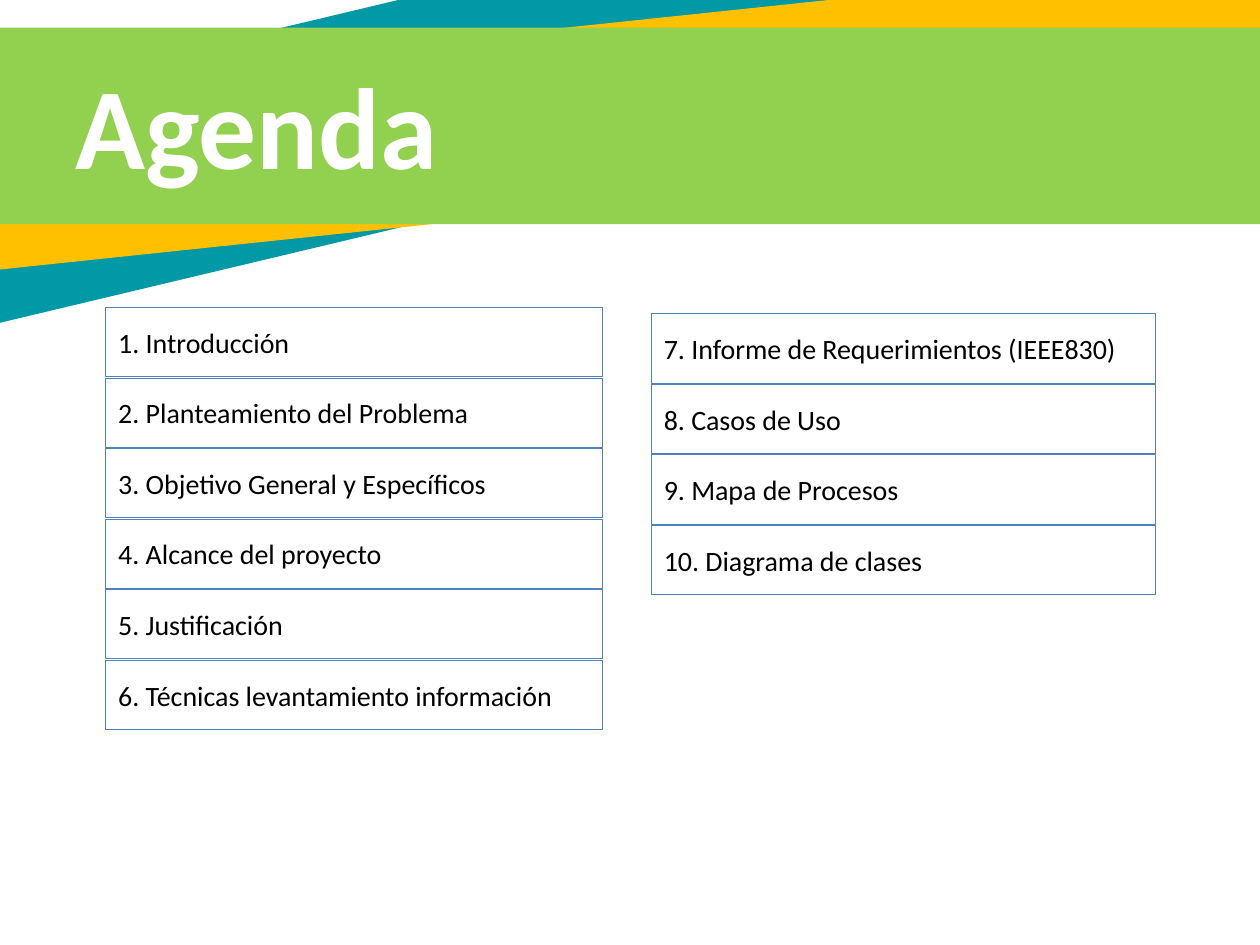
from dataclasses import dataclass

from pptx import Presentation
from pptx.dml.color import RGBColor
from pptx.enum.shapes import MSO_SHAPE
from pptx.enum.text import MSO_ANCHOR, PP_ALIGN
from pptx.util import Inches, Pt


@dataclass(frozen=True)
class Theme:
    font: str = "Calibri"
    teal: str = "0099A5"
    amber: str = "FFC000"
    green: str = "92D050"
    outline: str = "4F81BD"
    title_color: str = "FFFFFF"
    body_color: str = "000000"
    title_size: int = 66
    body_size: int = 16
    outline_width: float = 0.5


class AgendaSlide:
    def __init__(self, presentation, theme):
        self.theme = theme
        self.slide = presentation.slides.add_slide(presentation.slide_layouts[6])

    def rectangle(self, left, top, width, height):
        shape = self.slide.shapes.add_shape(
            MSO_SHAPE.RECTANGLE, Inches(left), Inches(top), Inches(width), Inches(height)
        )
        shape.shadow.inherit = False
        return shape

    def band(self, left, top, width, height, color, rotation=0):
        shape = self.rectangle(left, top, width, height)
        shape.rotation = rotation
        shape.fill.solid()
        shape.fill.fore_color.rgb = RGBColor.from_string(color)
        shape.line.fill.background()

    def set_text(self, shape, text, size, color, bold=False, wrap=True):
        frame = shape.text_frame
        frame.word_wrap = wrap
        frame.vertical_anchor = MSO_ANCHOR.MIDDLE
        paragraph = frame.paragraphs[0]
        paragraph.text = text
        paragraph.alignment = PP_ALIGN.LEFT
        paragraph.font.name = self.theme.font
        paragraph.font.size = Pt(size)
        paragraph.font.bold = bold
        paragraph.font.color.rgb = RGBColor.from_string(color)

    def title(self, text, left, top, width, height):
        box = self.slide.shapes.add_textbox(
            Inches(left), Inches(top), Inches(width), Inches(height)
        )
        self.set_text(box, text, self.theme.title_size, self.theme.title_color, bold=True)

    def topic(self, text, left, top, width, height):
        shape = self.rectangle(left, top, width, height)
        shape.fill.background()
        shape.line.color.rgb = RGBColor.from_string(self.theme.outline)
        shape.line.width = Pt(self.theme.outline_width)
        self.set_text(shape, text, self.theme.body_size, self.theme.body_color, wrap=False)

    def topic_column(self, topics, first_number, left, top, width, height=0.55, pitch=0.56):
        for row, topic in enumerate(topics):
            self.topic(f"{first_number + row}. {topic}", left, top + row * pitch, width, height)


def main():
    presentation = Presentation()
    presentation.slide_width = Inches(10)
    presentation.slide_height = Inches(7.5)
    theme = Theme()
    agenda = AgendaSlide(presentation, theme)

    agenda.band(-2.51, -0.18, 13.06, 1.76, theme.teal, rotation=346.6)
    agenda.band(-1.1, 0.2, 11.63, 1.44, theme.amber, rotation=354)
    agenda.band(-1.06, 0.22, 11.63, 1.56, theme.green)
    agenda.title("Agenda", 0.5, 0.49, 6.58, 0.97)

    left_topics = [
        "Introducción",
        "Planteamiento del Problema",
        "Objetivo General y Específicos",
        "Alcance del proyecto",
        "Justificación",
        "Técnicas levantamiento información",
    ]
    right_topics = [
        "Informe de Requerimientos (IEEE830)",
        "Casos de Uso",
        "Mapa de Procesos",
        "Diagrama de clases",
    ]
    agenda.topic_column(left_topics, 1, 0.84, 2.44, 3.94)
    agenda.topic_column(right_topics, len(left_topics) + 1, 5.17, 2.49, 4)

    presentation.save("out.pptx")


if __name__ == "__main__":
    main()
